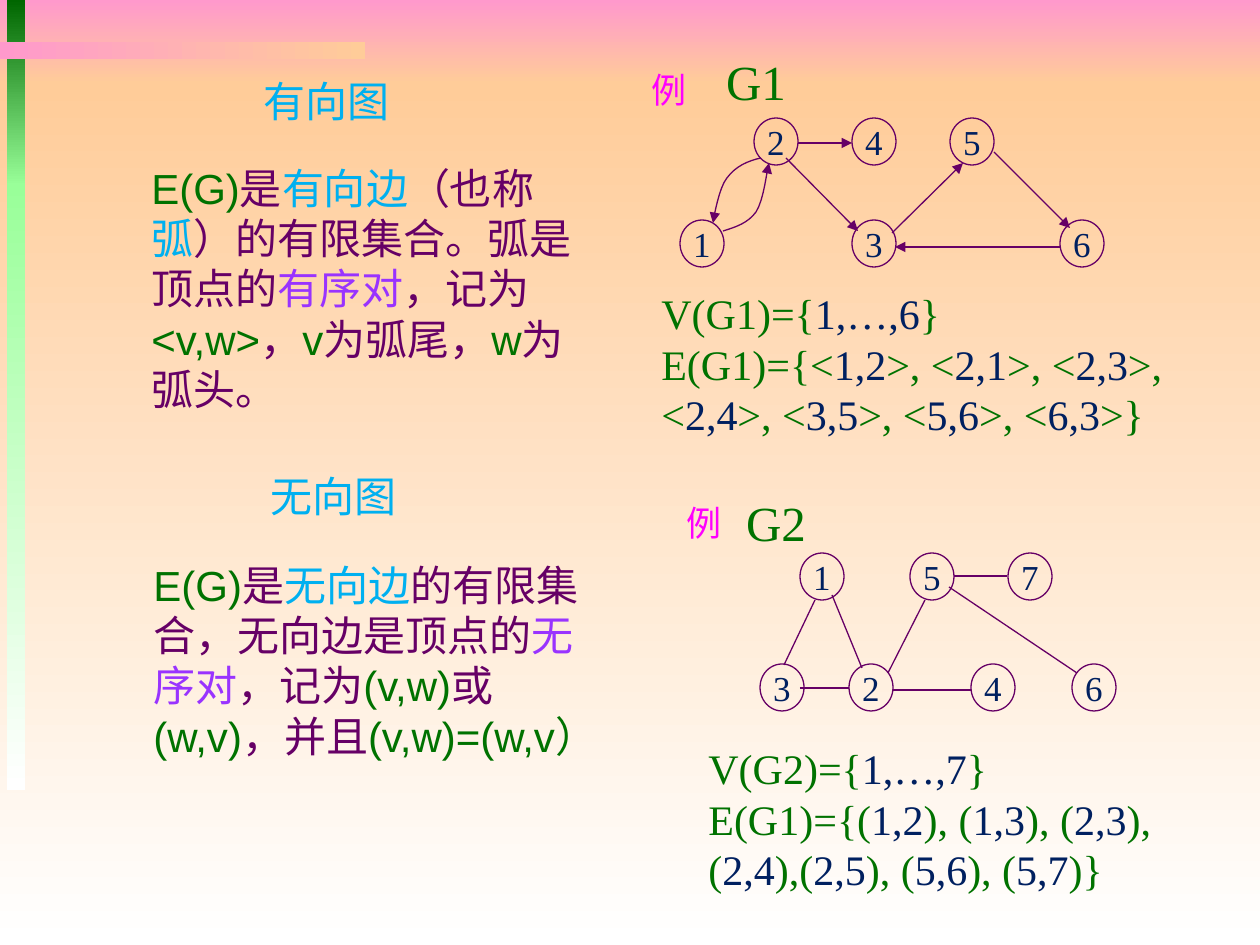
from itertools import cycle

from lxml.etree import SubElement
from pptx import Presentation
from pptx.dml.color import RGBColor
from pptx.enum.shapes import MSO_CONNECTOR as CONN, MSO_SHAPE as SHAPE
from pptx.enum.text import MSO_ANCHOR as ANCHOR, MSO_AUTO_SIZE as FIT, PP_ALIGN as ALIGN
from pptx.oxml.ns import qn
from pptx.util import Pt

SCALE = 914400 / 126
SANS, SERIF = "Arial", "Times New Roman"
PINK = RGBColor(0xFF, 0x99, 0xCC)
PEACH = RGBColor(0xFF, 0xCC, 0x99)
WHITE = RGBColor(0xFF, 0xFF, 0xFF)
DARK_GREEN = RGBColor(0x00, 0x66, 0x00)
LIGHT_GREEN = RGBColor(0x99, 0xFF, 0x99)
GREEN = RGBColor(0x00, 0x72, 0x00)
PURPLE = RGBColor(0x66, 0x00, 0x66)
VIOLET = RGBColor(0x99, 0x33, 0xFF)
MAGENTA = RGBColor(0xFF, 0x00, 0xFF)
NAVY = RGBColor(0x00, 0x20, 0x60)
SKY = RGBColor(0x00, 0xB0, 0xF0)


def px(*values):
    return [round(v * SCALE) for v in values]


def set_font(p, size, name, color=None):
    p.font.size, p.font.name = Pt(size), name
    if color is not None:
        p.font.color.rgb = color


def add_runs(p, runs):
    for text, color in runs:
        for i, line in enumerate(text.split("\n")):
            if i:
                p.add_line_break()
            r = p.add_run()
            r.text = line
            r.font.color.rgb = color


def text_frame(slide, box, wrap=True, anchor=ANCHOR.TOP):
    tf = slide.shapes.add_textbox(*px(*box)).text_frame
    tf.word_wrap, tf.vertical_anchor = wrap, anchor
    tf.auto_size = FIT.SHAPE_TO_FIT_TEXT
    return tf


def label(slide, box, text, size, color):
    p = text_frame(slide, box, False, ANCHOR.MIDDLE).paragraphs[0]
    p.text, p.alignment = text, ALIGN.CENTER
    set_font(p, size, SERIF, color)


def stroke(sp, arrow):
    sp.line.color.rgb, sp.line.width = PURPLE, Pt(0.75)
    if arrow:
        SubElement(sp.line._get_or_add_ln(), qn("a:tailEnd"), type="triangle")


def gradient_bar(slide, box, start, end, angle=270):
    sp = slide.shapes.add_shape(SHAPE.RECTANGLE, *px(*box))
    sp.shadow.inherit = False
    sp.line.fill.background()
    sp.fill.gradient()
    sp.fill.gradient_angle = angle
    for stop, color in zip(sp.fill.gradient_stops, (start, end)):
        stop.color.rgb = color


def backdrop(slide):
    gradient_bar(slide, (0, 0, 1260, 84), PINK, PEACH)
    gradient_bar(slide, (0, 84, 1260, 861), PEACH, WHITE)
    gradient_bar(slide, (7, 0, 18, 186), DARK_GREEN, LIGHT_GREEN)
    gradient_bar(slide, (7, 184, 18, 606), LIGHT_GREEN, WHITE)
    gradient_bar(slide, (0, 42, 365, 17), PINK, PEACH, 0)


def node(slide, left, top, text):
    sp = slide.shapes.add_shape(SHAPE.OVAL, *px(left, top, 44, 47))
    sp.shadow.inherit = False
    sp.fill.background()
    stroke(sp, False)
    tf = sp.text_frame
    tf.word_wrap, tf.vertical_anchor = False, ANCHOR.MIDDLE
    p = tf.paragraphs[0]
    p.text, p.alignment = text, ALIGN.CENTER
    set_font(p, 20, SERIF, NAVY)


def edge(slide, start, end, arrow):
    sp = slide.shapes.add_connector(CONN.STRAIGHT, *px(*start, *end))
    SubElement(sp._element.spPr, qn("a:effectLst"))
    stroke(sp, arrow)


def bezier(points, t):
    while len(points) > 1:
        points = [(a + (c - a) * t, b + (d - b) * t)
                  for (a, b), (c, d) in zip(points, points[1:])]
    return points[0]


def curved_arc(slide, points):
    steps = 8
    trace = [points[0]] + [bezier(points[k:k + 4], i / steps)
                           for k in (0, 3) for i in range(1, steps + 1)]
    trace = [px(*point) for point in trace]
    builder = slide.shapes.build_freeform(*trace[0])
    builder.add_line_segments(trace[1:], close=False)
    sp = builder.convert_to_shape()
    sp.shadow.inherit = False
    sp.fill.background()
    stroke(sp, True)


def graph(slide, left, top, title, title_x, example_y, rows, edges, arrow, arcs=()):
    label(slide, (left, top + example_y, 60, 54), "例", 20, MAGENTA)
    label(slide, (left + title_x, top, 86, 72), title, 28, GREEN)
    for y, nodes in rows:
        for text, x in nodes:
            node(slide, left + x, top + y, text)
    for x1, y1, x2, y2 in edges:
        edge(slide, (left + x1, top + y1), (left + x2, top + y2), arrow)
    for points in arcs:
        curved_arc(slide, [(left + x, top + y) for x, y in points])


def edge_sets(slide, box, lines):
    tf = text_frame(slide, box, False, ANCHOR.MIDDLE)
    for i, line in enumerate(lines):
        p = tf.add_paragraph() if i else tf.paragraphs[0]
        p.line_spacing = Pt(28.8)
        set_font(p, 24, SERIF)
        add_runs(p, zip(line.split("|"), cycle((GREEN, NAVY))))


def definition(slide, title_box, title, body_box, runs):
    p = text_frame(slide, title_box).paragraphs[0]
    p.text = title
    set_font(p, 24, SANS, SKY)
    p = text_frame(slide, body_box).paragraphs[0]
    p.line_spacing = Pt(28.8)
    set_font(p, 24, SANS)
    add_runs(p, runs)


def main():
    prs = Presentation()
    prs.slide_width, prs.slide_height = px(1260, 945)
    slide = prs.slides.add_slide(prs.slide_layouts[6])
    backdrop(slide)
    graph(slide, 639, 45, "G1", 74, 17,
          [(73, [("2", 115), ("4", 213), ("5", 311)]),
           (175, [("1", 41), ("3", 213), ("6", 421)])],
          [(159, 98, 213, 98), (147, 113, 219, 186), (422, 202, 256, 202),
           (253, 188, 324, 118), (355, 107, 431, 183)], True,
          [[(122, 113), (109, 116), (97, 121), (88, 133), (80, 143), (75, 172), (74, 178)],
           [(84, 186), (97, 182), (109, 178), (117, 167), (125, 155), (128, 124), (130, 118)]])
    edge_sets(slide, (649, 281, 542, 165), [
        "V(G1)={|1,…,6|}",
        "E(G1)={<|1,2|>, <|2,1|>, <|2,3|>, \n<|2,4|>, <|3,5|>, <|5,6|>, <|6,3|>}"])
    graph(slide, 674, 486, "G2", 59, 9,
          [(67, [("1", 126), ("5", 236), ("7", 334)]),
           (178, [("3", 86), ("2", 175), ("4", 297), ("6", 398)])],
          [(141, 114, 110, 179), (126, 202, 175, 202), (158, 109, 188, 182),
           (251, 114, 214, 187), (219, 204, 297, 204), (280, 90, 333, 90),
           (275, 101, 403, 187)], False)
    edge_sets(slide, (696, 736, 483, 165), [
        "V(G2)={|1,…,7|}",
        "E(G1)={(|1,2|), (|1,3|), (|2,3|), \n(|2,4|),(|2,5|), (|5,6|), (|5,7|)}"])
    definition(slide, (251, 69, 163, 63), "有向图", (139, 156, 467, 217), [
        ("E(G)", GREEN), ("是", PURPLE), ("有向边", SKY), ("（也称", PURPLE),
        ("弧", SKY), ("）的有限集合。弧是顶点的", PURPLE), ("有序对", VIOLET),
        ("，记为", PURPLE), ("<v,w>", GREEN), ("，", PURPLE), ("v", GREEN),
        ("为弧尾，", PURPLE), ("w", GREEN), ("为弧头。", PURPLE)])
    definition(slide, (258, 464, 156, 63), "无向图", (141, 553, 470, 217), [
        ("E(G)", GREEN), ("是", PURPLE), ("无向边", SKY),
        ("的有限集合，无向边是顶点的", PURPLE), ("无序对", VIOLET), ("，记为", PURPLE),
        ("(v,w)", GREEN), ("或", PURPLE), ("(w,v)", GREEN), ("，并且", PURPLE),
        ("(v,w)=(w,v）", GREEN)])
    prs.save("out.pptx")


if __name__ == "__main__":
    main()
